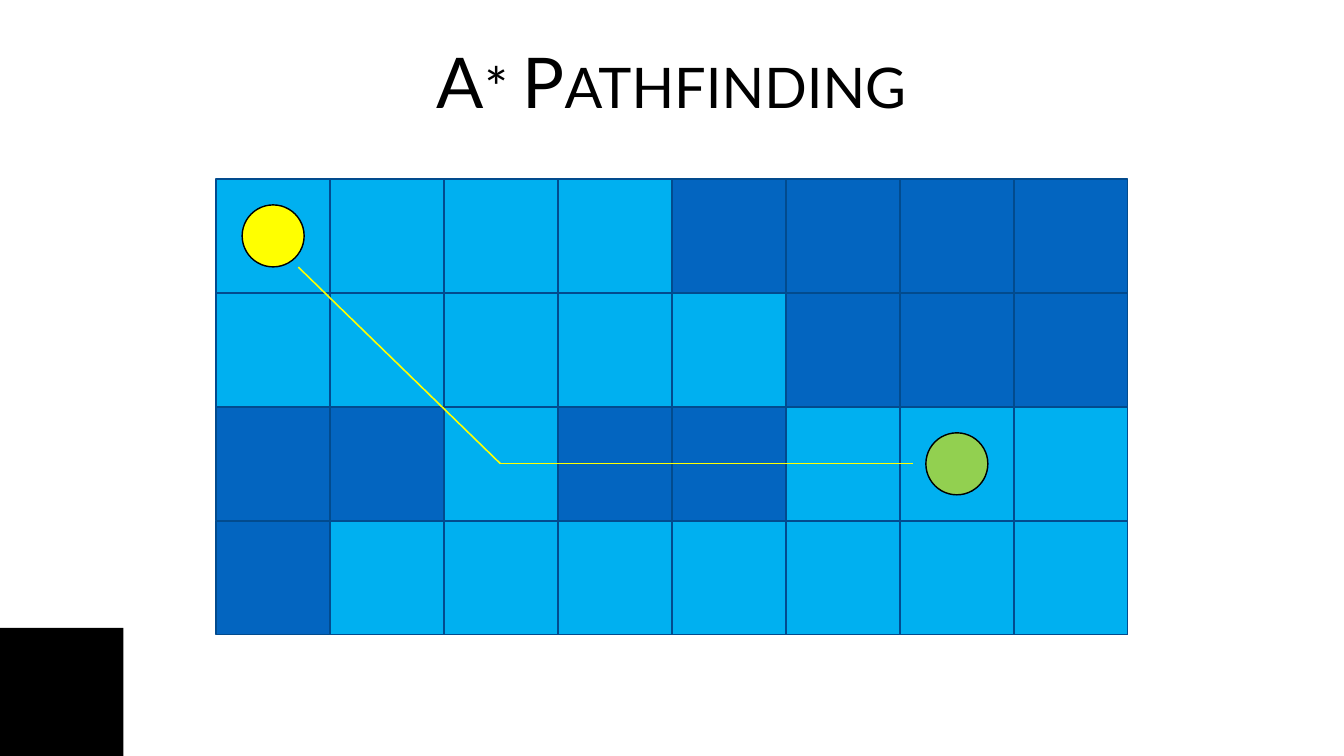
from lxml import etree
from pptx import Presentation
from pptx.dml.color import RGBColor
from pptx.enum.shapes import MSO_CONNECTOR, MSO_SHAPE
from pptx.enum.text import MSO_ANCHOR, MSO_AUTO_SIZE, PP_ALIGN
from pptx.oxml.ns import qn
from pptx.util import Inches, Pt

RECTANGLE = MSO_SHAPE.RECTANGLE
OVAL = MSO_SHAPE.OVAL
STRAIGHT = MSO_CONNECTOR.STRAIGHT
BOTTOM = MSO_ANCHOR.BOTTOM
NO_AUTOFIT = MSO_AUTO_SIZE.NONE
CENTER = PP_ALIGN.CENTER

BLACK = RGBColor(0x00, 0x00, 0x00)
OPEN_BLUE = RGBColor(0x00, 0xB0, 0xF0)
WALL_BLUE = RGBColor(0x03, 0x65, 0xC0)
GRID_BLUE = RGBColor(0x02, 0x4B, 0x8E)
YELLOW = RGBColor(0xFF, 0xFF, 0x00)
GREEN = RGBColor(0x92, 0xD0, 0x50)

GRID_LEFT = 4.29
GRID_TOP = 3.55
CELL = 18.09 / 8
MARKER = 1.23
TERRAIN = [
    "....####",
    ".....###",
    "##.##...",
    "#.......",
]


def add_filled(shapes, kind, left, top, width, height, fill, outline):
    shape = shapes.add_shape(
        kind, Inches(left), Inches(top), Inches(width), Inches(height)
    )
    shape.shadow.inherit = False
    shape.fill.solid()
    shape.fill.fore_color.rgb = fill
    shape.line.color.rgb = outline
    shape.line.width = Pt(2)
    return shape


def add_marker(shapes, row, column, fill):
    inset = (CELL - MARKER) / 2
    left = GRID_LEFT + column * CELL + inset
    top = GRID_TOP + row * CELL + inset
    return add_filled(shapes, OVAL, left, top, MARKER, MARKER, fill, BLACK)


deck = Presentation()
deck.slide_width = Inches(26.67)
deck.slide_height = Inches(15)
page = deck.slides.add_slide(deck.slide_layouts[5])

corner = add_filled(page.shapes, RECTANGLE, 0, 12.46, 2.45, 2.54, BLACK, BLACK)
corner.line.fill.background()

title = page.shapes.title
title.left, title.top = Inches(2.13), Inches(0.24)
title.width, title.height = Inches(22.4), Inches(2.25)
frame = title.text_frame
frame.text = "A* Pathfinding"
frame.word_wrap = True
frame.auto_size = NO_AUTOFIT
frame.vertical_anchor = BOTTOM
frame.margin_left = frame.margin_right = Inches(0.06)
frame.margin_top = frame.margin_bottom = Inches(0.06)
para = frame.paragraphs[0]
para.alignment = CENTER
span = para.runs[0]
span.font.name = "Lato"
span.font.size = Pt(100)
span.font.color.rgb = BLACK
span._r.get_or_add_rPr().set("cap", "small")

diagram = page.shapes.add_group_shape()
for row, squares in enumerate(TERRAIN):
    for column, square in enumerate(squares):
        left = GRID_LEFT + column * CELL
        top = GRID_TOP + row * CELL
        fill = WALL_BLUE if square == "#" else OPEN_BLUE
        add_filled(diagram.shapes, RECTANGLE, left, top, CELL, CELL, fill, GRID_BLUE)

add_marker(diagram.shapes, 0, 0, YELLOW)

route = [(5.92, 5.3), (9.93, 9.2), (18.11, 9.2)]
for start, end in zip(route, route[1:]):
    leg = diagram.shapes.add_connector(
        STRAIGHT, Inches(start[0]), Inches(start[1]), Inches(end[0]), Inches(end[1])
    )
    leg.line.color.rgb = YELLOW
    leg.line.width = Pt(2.25)
    etree.SubElement(leg._element.spPr, qn("a:effectLst"))

add_marker(diagram.shapes, 2, 6, GREEN)

deck.save("out.pptx")
